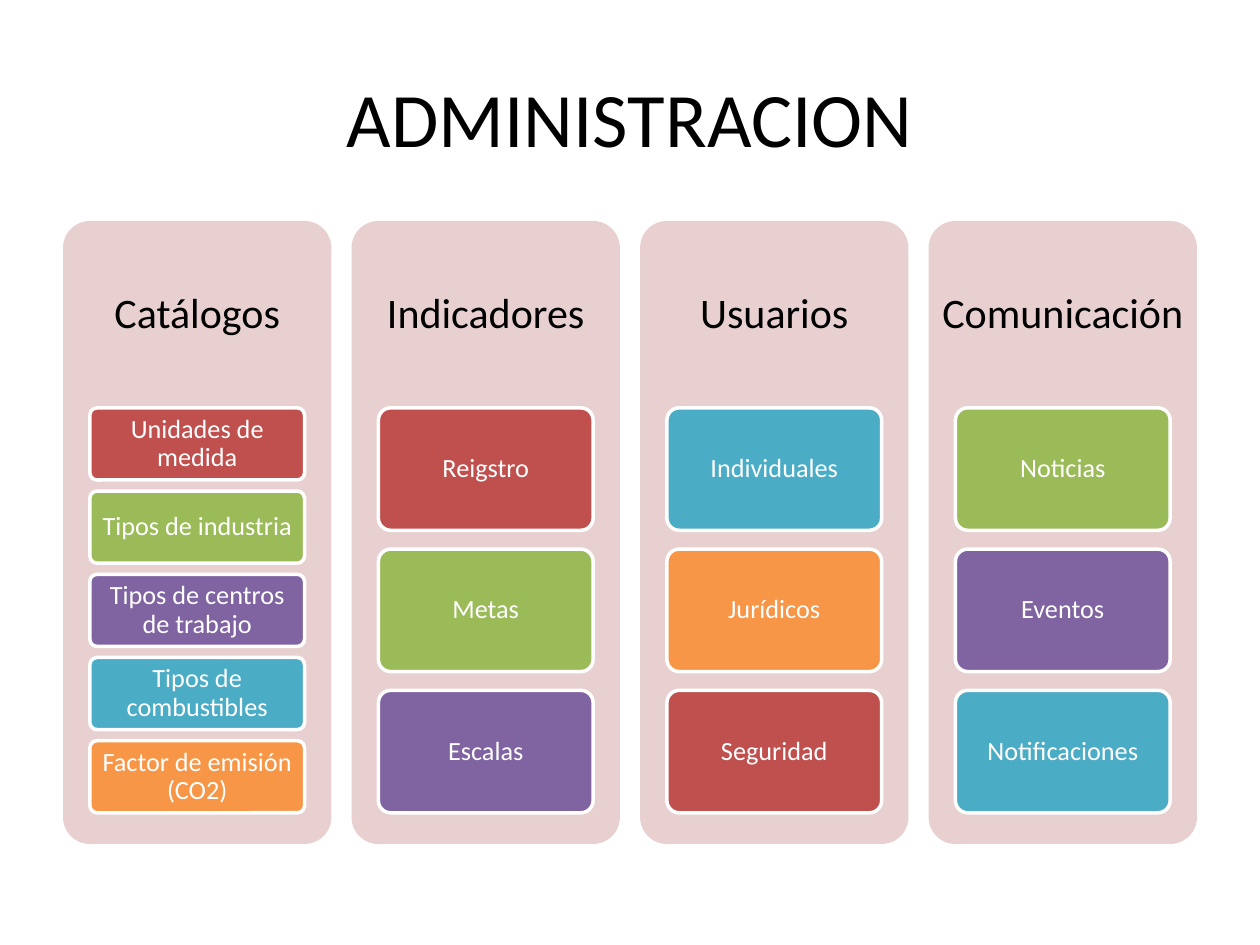
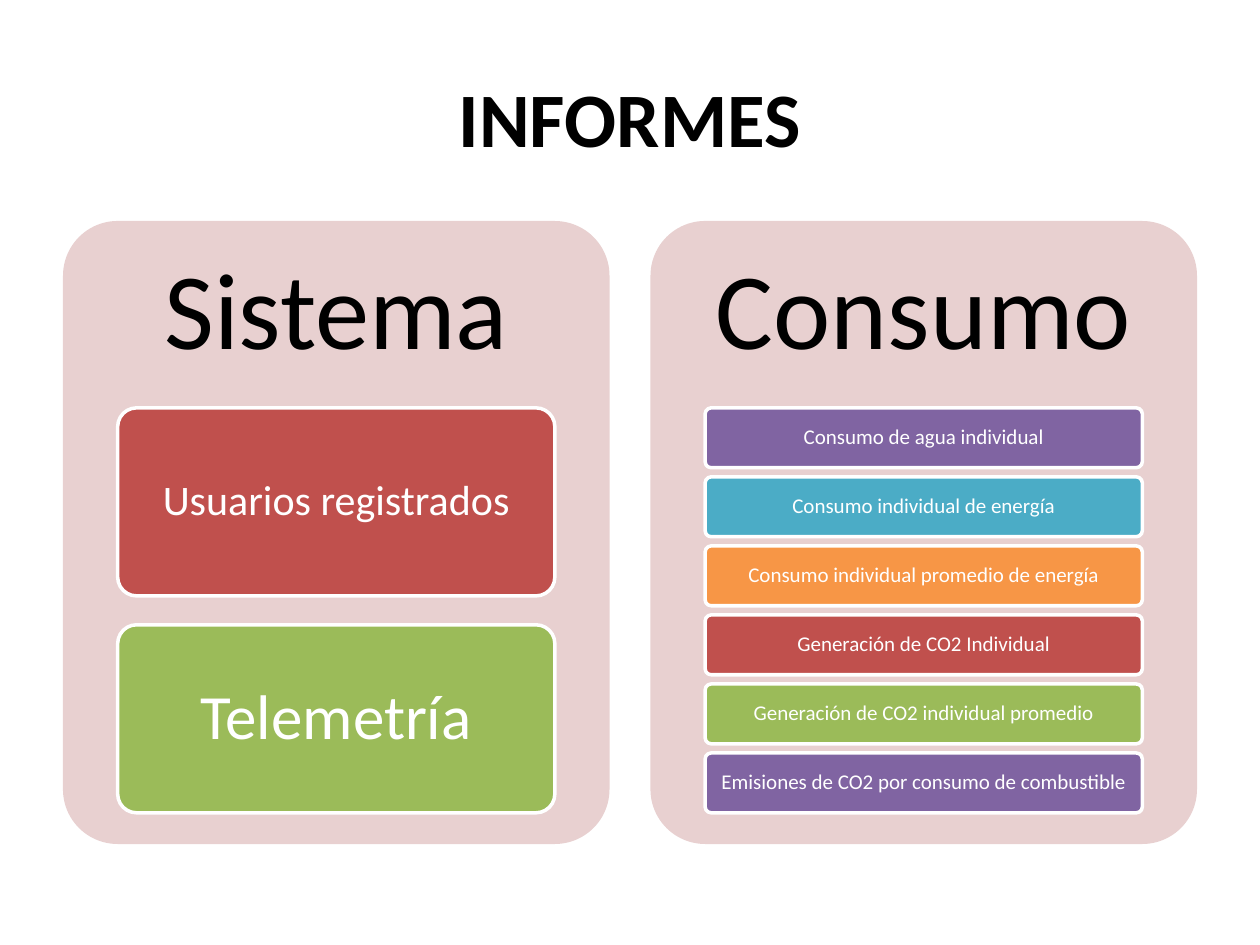
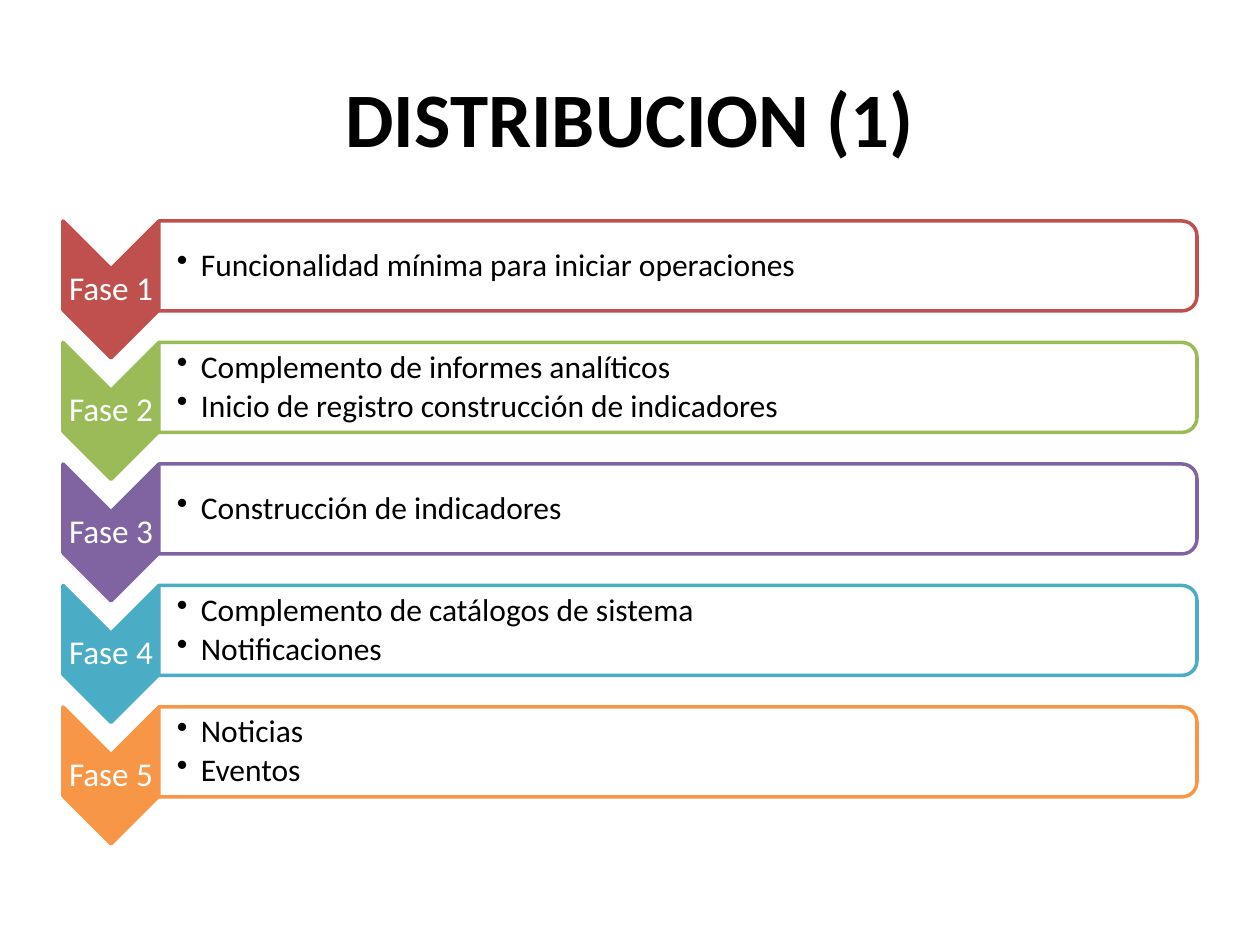
import itertools

import lxml.etree
import pptx
import pptx.dml.color
import pptx.enum.shapes
import pptx.enum.text
import pptx.oxml.ns
import pptx.util

EMU_PER_PX = 914400 / 126
FONT = "Calibri"
BLACK, WHITE, PANEL = "000000", "FFFFFF", "E8D0D0"
ACCENTS = ["C0504D", "9BBB59", "8064A2", "4BACC6", "F79646"]
TITLE_BOX = (63, 38, 1134, 158)
BODY_BOX = (63, 221, 1134, 623)
COLUMN_GAP, CARD_GAP = 0.075, 0.154
SHAPE = pptx.enum.shapes.MSO_SHAPE
ALIGN = pptx.enum.text.PP_ALIGN

ADMIN_COLUMNS = [
    ("Catálogos", dict.fromkeys([
        "Unidades de medida", "Tipos de industria", "Tipos de centros de trabajo",
        "Tipos de combustibles", "Factor de emisión (CO2)"], 15)),
    ("Indicadores", dict.fromkeys(["Reigstro", "Metas", "Escalas"], 15)),
    ("Usuarios", dict.fromkeys(["Individuales", "Jurídicos", "Seguridad"], 15)),
    ("Comunicación", dict.fromkeys(["Noticias", "Eventos", "Notificaciones"], 15)),
]
REPORT_COLUMNS = [
    ("Sistema", {"Usuarios registrados": 24, "Telemetría": 36}),
    ("Consumo", dict.fromkeys([
        "Consumo de agua individual", "Consumo individual de energía",
        "Consumo individual promedio de energía", "Generación de CO2 Individual",
        "Generación de CO2 individual promedio",
        "Emisiones de CO2 por consumo de combustible"], 12)),
]
PHASES = [
    ["Funcionalidad mínima para iniciar operaciones"],
    ["Complemento de informes analíticos",
     "Inicio de registro construcción de indicadores"],
    ["Construcción de indicadores"],
    ["Complemento de catálogos de sistema", "Notificaciones"],
    ["Noticias", "Eventos"],
]


def px(value):
    return pptx.util.Emu(round(value * EMU_PER_PX))


def color(value):
    return pptx.dml.color.RGBColor.from_string(value)


def add_shape(s, kind, box, fill, line=None, rotation=0):
    x, y, w, h = box
    if rotation:
        x, y, w, h = x + (w - h) / 2, y + (h - w) / 2, h, w
    sp = s.shapes.add_shape(kind, px(x), px(y), px(w), px(h))
    sp.rotation = rotation
    sp.shadow.inherit = False
    sp.fill.solid()
    sp.fill.fore_color.rgb = color(fill)
    if line:
        sp.line.color.rgb = color(line)
        sp.line.width = pptx.util.Pt(2)
    else:
        sp.line.fill.background()
    return sp


def add_panel(s, box, fill, line=None):
    sp = add_shape(s, SHAPE.ROUNDED_RECTANGLE, box, fill, line)
    sp.adjustments[0] = 0.1
    return sp


def add_bullet(p):
    pPr = p._p.get_or_add_pPr()
    pPr.set("marL", str(px(24)))
    pPr.set("indent", str(px(-24)))
    bullet = lxml.etree.SubElement(pPr, pptx.oxml.ns.qn("a:buChar"))
    bullet.set("char", "•")


def write(sp, lines, size, rgb, margins, bold=False, spacing=0.9, bullets=False):
    tf = sp.text_frame
    tf.word_wrap = True
    tf.vertical_anchor = pptx.enum.text.MSO_ANCHOR.MIDDLE
    tf.margin_left, tf.margin_top, tf.margin_right, tf.margin_bottom = map(px, margins)
    tf.text = "\n".join(lines)
    for p in tf.paragraphs:
        if bullets:
            add_bullet(p)
            p.space_after = pptx.util.Pt(2.7)
        p.alignment = ALIGN.LEFT if bullets else ALIGN.CENTER
        p.line_spacing = spacing
        for r in p.runs:
            r.font.name = FONT
            r.font.size = pptx.util.Pt(size)
            r.font.bold = bold
            r.font.color.rgb = color(rgb)


def add_text(s, box, lines, size, rgb, margins, **style):
    write(s.shapes.add_textbox(*map(px, box)), lines, size, rgb, margins, **style)


def add_titled_slide(prs, title, bold):
    s = prs.slides.add_slide(prs.slide_layouts[6])
    add_text(s, TITLE_BOX, [title], 44, BLACK, (13, 6, 13, 6), bold=bold, spacing=1)
    return s


def draw_column(s, box, heading, heading_size, margin, cards, accents):
    x, y, w, h = box
    add_panel(s, box, PANEL)
    add_text(s, (x, y, w, 0.3 * h), [heading], heading_size, BLACK, (margin,) * 4)
    n = len(cards)
    card_h = 0.65 * h / (n + CARD_GAP * (n - 1))
    for i, (label, size) in enumerate(cards.items()):
        top = y + 0.3 * h + i * card_h * (1 + CARD_GAP)
        sp = add_panel(s, (x + 0.1 * w, top, 0.8 * w, card_h), next(accents), WHITE)
        write(sp, [label], size, WHITE, (5, 4, 5, 4))


def draw_columns(s, box, columns, heading_size, margin):
    x, y, w, h = box
    n = len(columns)
    column_w = w / (n + COLUMN_GAP * (n - 1))
    accents = itertools.cycle(ACCENTS)
    for i, (heading, cards) in enumerate(columns):
        left = x + i * column_w * (1 + COLUMN_GAP)
        draw_column(s, (left, y, column_w, h), heading, heading_size, margin,
                    cards, accents)


def draw_phase(s, box, label, tasks, accent):
    x, y, w, h = box
    chevron_w, bar_h = 96, 90
    add_shape(s, SHAPE.CHEVRON, (x, y, chevron_w, h), accent, accent, 90)
    add_text(s, (x, y + 48, chevron_w, h - 96), [label], 19, WHITE, (1,) * 4)
    left, bar_w = x + chevron_w, w - chevron_w
    add_shape(s, SHAPE.ROUND_2_SAME_RECTANGLE, (left, y, bar_w, bar_h),
              WHITE, accent, 90)
    add_text(s, (left, y + 4, bar_w - 5, bar_h - 8), tasks, 18, BLACK,
             (18, 1, 1, 1), bullets=True)


def draw_phases(s, box, phases):
    x, y, w, h = box
    phase_h = 137
    pitch = (h - phase_h) / (len(phases) - 1)
    for i, (tasks, accent) in enumerate(zip(phases, ACCENTS)):
        draw_phase(s, (x, y + i * pitch, w, phase_h), f"Fase {i + 1}", tasks, accent)


def main():
    prs = pptx.Presentation()
    prs.slide_width, prs.slide_height = px(1260), px(945)
    s = add_titled_slide(prs, "ADMINISTRACION", False)
    draw_columns(s, BODY_BOX, ADMIN_COLUMNS, 24, 12)
    s = add_titled_slide(prs, "INFORMES", True)
    draw_columns(s, BODY_BOX, REPORT_COLUMNS, 62, 33)
    s = add_titled_slide(prs, "DISTRIBUCION (1)", True)
    draw_phases(s, BODY_BOX, PHASES)
    prs.save("out.pptx")


if __name__ == "__main__":
    main()
